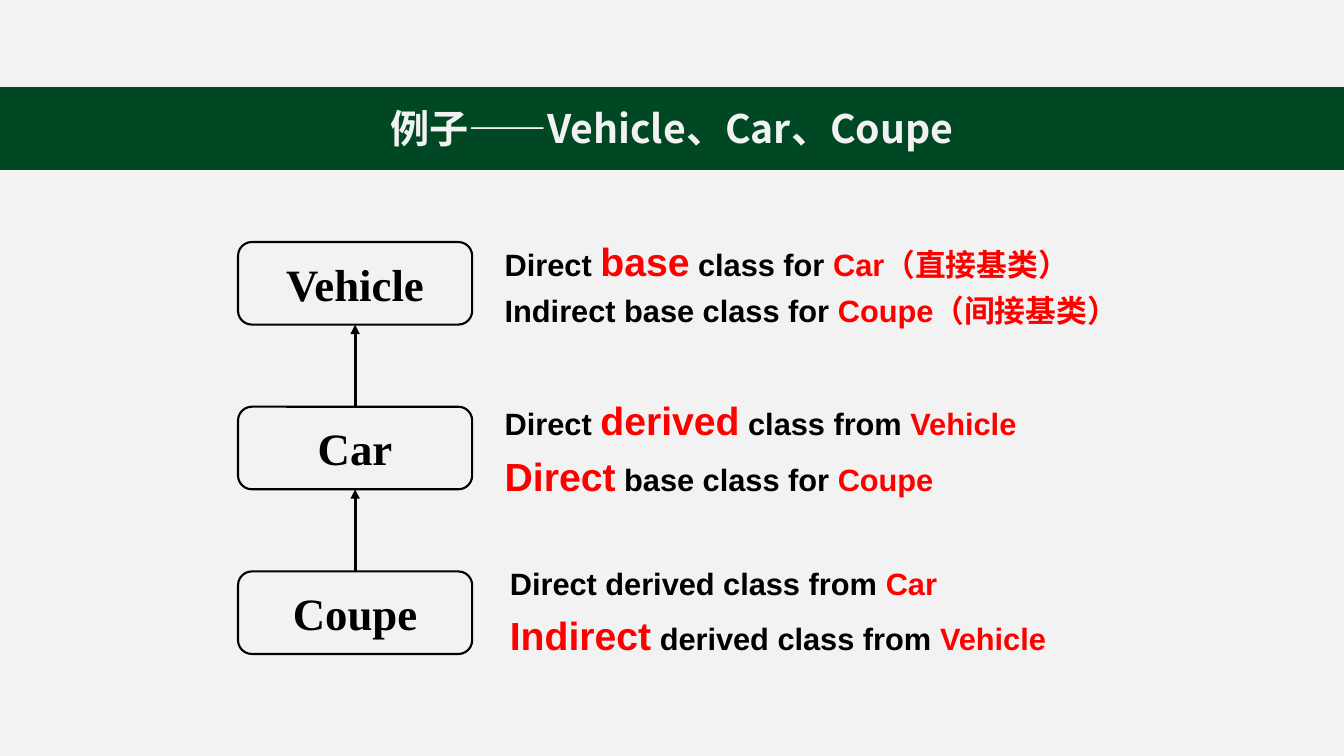
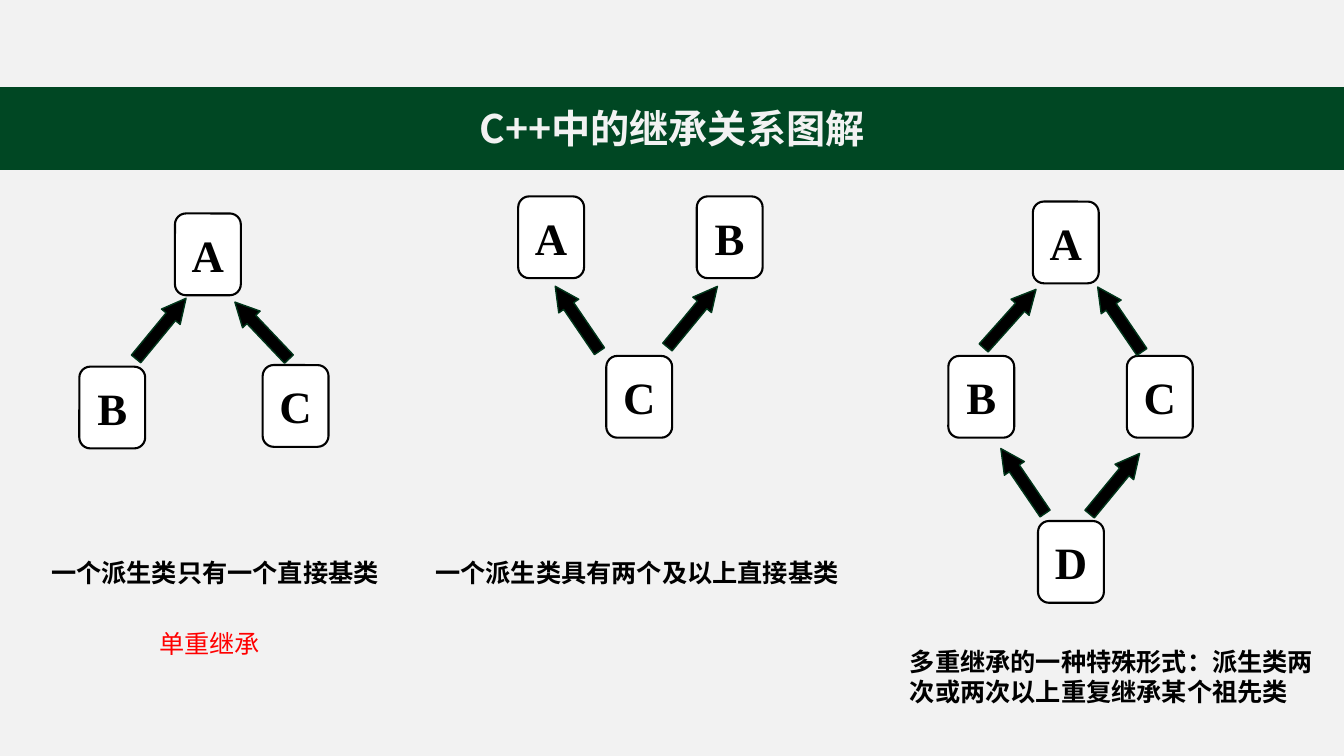
from lxml import etree
from pptx import Presentation
from pptx.dml.color import RGBColor
from pptx.enum.shapes import MSO_CONNECTOR, MSO_SHAPE
from pptx.enum.text import MSO_ANCHOR, MSO_AUTO_SIZE, PP_ALIGN
from pptx.oxml.ns import qn
from pptx.util import Cm, Pt

ROUNDED, ARROW = MSO_SHAPE.ROUNDED_RECTANGLE, MSO_SHAPE.RIGHT_ARROW
STRAIGHT = MSO_CONNECTOR.STRAIGHT
MIDDLE, CENTER = MSO_ANCHOR.MIDDLE, PP_ALIGN.CENTER
NO_AUTOFIT = MSO_AUTO_SIZE.NONE
TOP, BOTTOM = 0, 2  # connection sites of a rectangle

SLIDE_W, SLIDE_H = 33.87, 19.05
PAPER, GREEN, DARK_GREEN = "F2F2F2", "004723", "00351A"
BLACK, WHITE, RED = "000000", "FFFFFF", "FF0000"
SANS, SERIF, CJK = "Arial", "Times New Roman", "Noto Sans CJK SC"

# Class name, indent of its roles, lines of (text, colour, size)
HIERARCHY = [
    ("Vehicle", 0, [
        [("Direct ", BLACK, 22), ("base", RED, 28),
         (" class for ", BLACK, 22), ("Car（直接基类）", RED, 22)],
        [("Indirect base class for ", BLACK, 22), ("Coupe（间接基类）", RED, 22)],
    ]),
    ("Car", 0, [
        [("Direct ", BLACK, 22), ("derived", RED, 28),
         (" class from ", BLACK, 22), ("Vehicle", RED, 22)],
        [("Direct", RED, 28), (" base class for ", BLACK, 22), ("Coupe", RED, 22)],
    ]),
    ("Coupe", 0.13, [
        [("Direct derived class from ", BLACK, 22), ("Car", RED, 22)],
        [("Indirect", RED, 28), (" derived class from ", BLACK, 22),
         ("Vehicle", RED, 22)],
    ]),
]

# Positions are relative to the origin of each diagram.
# nodes: name, left, top; arrows: centre x, centre y, angle
# captions: text, left, top, width, colour, bold
INHERITANCE = [
    {
        "origin": (2, 5.38),
        "nodes": [("A", 2.41, 0), ("B", 0, 3.86), ("C", 4.62, 3.82)],
        "arrows": [(2.06, 2.9, 309.5), (4.6, 2.95, 226.5)],
        "captions": [
            ("一个派生类只有一个直接基类", -0.96, 8.54, 9.2, BLACK, True),
            ("单重继承", 1.76, 10.34, 3.4, RED, False),
        ],
    },
    {
        "origin": (13.06, 4.95),
        "nodes": [("A", 0, 0), ("B", 4.5, 0), ("C", 2.22, 4.02)],
        "arrows": [(4.39, 3.03, 309.5), (1.49, 3.08, 235.7)],
        "captions": [
            ("一个派生类具有两个及以上直接基类", -2.34, 8.97, 11.2, BLACK, True),
        ],
    },
    {
        "origin": (23.9, 5.08),
        "nodes": [("A", 2.13, 0), ("B", 0, 3.89), ("C", 4.5, 3.89),
                  ("D", 2.26, 8.05)],
        "arrows": [(1.55, 2.95, 311.8), (4.32, 2.97, 235.7),
                   (1.88, 7.04, 235.7), (4.19, 7.11, 309.5)],
        "captions": [
            ("多重继承的一种特殊形式：派生类两次或两次以上重复继承某个祖先类",
             -1.22, 11.07, 10.82, BLACK, True),
        ],
    },
]


def rgb(value):
    return RGBColor.from_string(value)


def box(left, top, width, height):
    return Cm(left), Cm(top), Cm(width), Cm(height)


def format_run(run, face, size, color, bold=True):
    font = run.font
    font.name, font.size, font.bold = face, Pt(size), bold
    font.color.rgb = rgb(color)
    east_asian = etree.Element(qn("a:ea"), typeface=CJK)
    run.font._element.find(qn("a:latin")).addnext(east_asian)


def paint(shape, fill, line, width):
    if fill:
        shape.fill.solid()
        shape.fill.fore_color.rgb = rgb(fill)
    else:
        shape.fill.background()
    shape.line.color.rgb = rgb(line)
    shape.line.width = Pt(width)


def add_titled_slide(prs, heading):
    slide = prs.slides.add_slide(prs.slide_layouts[5])
    title = slide.shapes.title
    title.left, title.top, title.width, title.height = box(0, 2.2, SLIDE_W, 2.06)
    paint(title, GREEN, GREEN, 1)
    frame = title.text_frame
    frame.text = heading
    frame.auto_size, frame.vertical_anchor = NO_AUTOFIT, MIDDLE
    frame.paragraphs[0].alignment = CENTER
    format_run(frame.paragraphs[0].runs[0], CJK, 28, PAPER)
    return slide


def add_class_box(slide, name, left, top, width, height, fill=None):
    node = slide.shapes.add_shape(ROUNDED, *box(left, top, width, height))
    node.shadow.inherit = False
    paint(node, fill, BLACK, 1.5)
    frame = node.text_frame
    frame.text = name
    frame.word_wrap, frame.vertical_anchor = False, MIDDLE
    frame.margin_left = frame.margin_right = 0
    frame.margin_top = frame.margin_bottom = 0
    label = frame.paragraphs[0]
    label.alignment, label.space_before = CENTER, Pt(6.4)
    format_run(label.runs[0], SERIF, 32, BLACK)
    return node


def add_text_frame(slide, left, top, width, height):
    frame = slide.shapes.add_textbox(*box(left, top, width, height)).text_frame
    frame.word_wrap = True
    return frame


def add_roles(slide, lines, left, top):
    frame = add_text_frame(slide, left, top, 17, 2.2)
    frame.vertical_anchor = MIDDLE
    for index, pieces in enumerate(lines):
        line = frame.add_paragraph() if index else frame.paragraphs[0]
        line.line_spacing = 1.2
        for text, color, size in pieces:
            run = line.add_run()
            run.text = text
            format_run(run, SANS, size, color)


def link_to_base(slide, derived, base):
    link = slide.shapes.add_connector(STRAIGHT, 0, 0, 0, 0)
    link.begin_connect(derived, TOP)
    link.end_connect(base, BOTTOM)
    link.line.color.rgb = rgb(BLACK)
    link.line.width = Pt(2.25)
    etree.SubElement(link.line._get_or_add_ln(), qn("a:tailEnd"), type="triangle")
    etree.SubElement(link._element.spPr, qn("a:effectLst"))


def add_hierarchy(slide, left, top):
    pitch = 4.15
    base = None
    for row, (name, indent, roles) in enumerate(HIERARCHY):
        y = top + row * pitch
        node = add_class_box(slide, name, left, y, 5.9, 2.08)
        add_roles(slide, roles, left + 6.47 + indent, y - 0.18)
        if base is not None:
            link_to_base(slide, node, base)
        base = node


def add_block_arrow(slide, center_x, center_y, angle):
    length, thickness = 1.98, 0.61
    arrow = slide.shapes.add_shape(ARROW, *box(
        center_x - length / 2, center_y - thickness / 2, length, thickness))
    arrow.shadow.inherit = False
    arrow.adjustments[1] = 0.99
    arrow.rotation = angle
    paint(arrow, BLACK, DARK_GREEN, 1)


def add_caption(slide, text, left, top, width, color, bold):
    frame = add_text_frame(slide, left, top, width, 1.02)
    frame.text = text
    format_run(frame.paragraphs[0].runs[0], CJK, 18, color, bold)


def add_diagram(slide, origin, nodes, arrows, captions):
    left, top = origin
    for name, x, y in nodes:
        add_class_box(slide, name, left + x, top + y, 1.66, 2.06, WHITE)
    for x, y, angle in arrows:
        add_block_arrow(slide, left + x, top + y, angle)
    for text, x, y, *style in captions:
        add_caption(slide, text, left + x, top + y, *style)


def main():
    prs = Presentation()
    prs.slide_width, prs.slide_height = Cm(SLIDE_W), Cm(SLIDE_H)
    backdrop = prs.slide_master.background.fill
    backdrop.solid()
    backdrop.fore_color.rgb = rgb(PAPER)

    example = add_titled_slide(prs, "例子——Vehicle、Car、Coupe")
    add_hierarchy(example, 6, 6.1)

    overview = add_titled_slide(prs, "C++中的继承关系图解")
    for diagram in INHERITANCE:
        add_diagram(overview, **diagram)

    prs.save("out.pptx")


if __name__ == "__main__":
    main()
